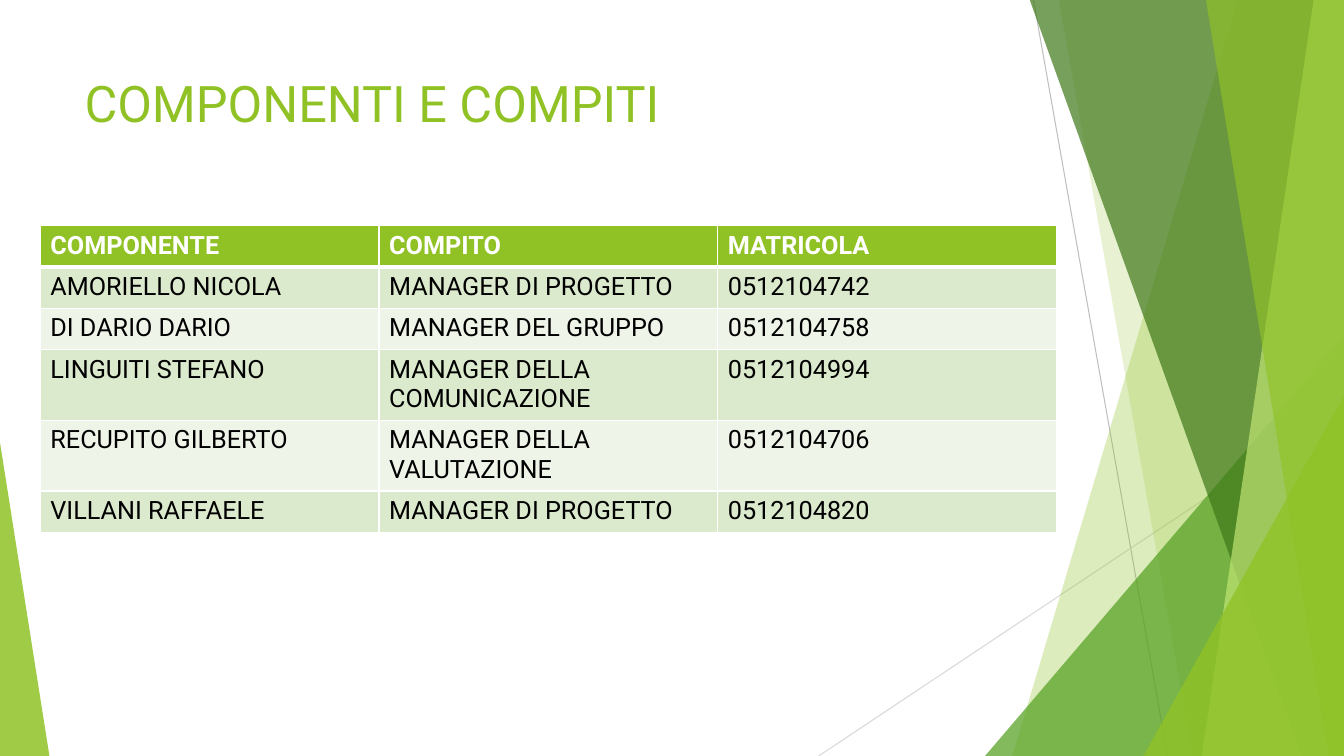
import dataclasses

import lxml.etree
import pptx
import pptx.dml.color
import pptx.enum.shapes
import pptx.enum.text
import pptx.oxml.ns
import pptx.util
from pptx.util import Inches

FONT = "Roboto"
WIDTH, HEIGHT, TOP = 13.33, 7.5, -0.01
COLOURS = {
    "lime": "90C226",
    "green": "54A021",
    "forest": "3F7819",
    "pale lime": "C0E474",
    "grey": "BFBFBF",
    "light grey": "D9D9D9",
    "white": "FFFFFF",
    "black": "000000",
    "dark band": "DBE9CD",
    "light band": "EEF4E8",
}


@dataclasses.dataclass(frozen=True)
class Ray:
    start: tuple[float, float]
    end: tuple[float, float]
    colour: str


@dataclasses.dataclass(frozen=True)
class Shard:
    """A four-sided facet that reaches the right edge of the slide."""
    top_left: float
    bottom_left: float
    colour: str
    opacity: int


@dataclasses.dataclass(frozen=True)
class Corner:
    """A triangle standing on the bottom edge, with its tip at one side."""
    left: float
    top: float
    width: float
    tip: float
    colour: str
    opacity: int


RAYS = [
    Ray((10.25, 0), (11.58, HEIGHT), "grey"),
    Ray((WIDTH, 4.03), (8.12, HEIGHT), "light grey"),
]
FACETS = [
    Shard(12.28, 10.04, "lime", 30),
    Shard(10.5, 11.83, "lime", 20),
    Corner(9.77, 3.33, 3.56, 1, "green", 72),
    Shard(10.21, 12.91, "forest", 70),
    Shard(13.03, 11.92, "pale lime", 70),
    Shard(11.96, 13.18, "lime", 65),
    Corner(11.34, 3.93, 1.99, 1, "lime", 80),
    Corner(0, 4.39, 0.49, 0, "lime", 85),
]
MEMBERS = [
    ("COMPONENTE", "COMPITO", "MATRICOLA"),
    ("AMORIELLO NICOLA", "MANAGER DI PROGETTO", "0512104742"),
    ("DI DARIO DARIO", "MANAGER DEL GRUPPO", "0512104758"),
    ("LINGUITI STEFANO", "MANAGER DELLA COMUNICAZIONE", "0512104994"),
    ("RECUPITO GILBERTO", "MANAGER DELLA VALUTAZIONE", "0512104706"),
    ("VILLANI RAFFAELE", "MANAGER DI PROGETTO", "0512104820"),
]


def rgb(colour: str) -> pptx.dml.color.RGBColor:
    return pptx.dml.color.RGBColor.from_string(COLOURS[colour])


def add_child(parent, tag: str, **attributes: str):
    return lxml.etree.SubElement(parent, pptx.oxml.ns.qn(tag), attributes)


def set_font(paragraph, size: int, colour: str, bold: bool = False) -> None:
    font = paragraph.font
    font.name = FONT
    font.size = pptx.util.Pt(size)
    font.bold = bold
    font.color.rgb = rgb(colour)


def draw_ray(slide, ray: Ray) -> None:
    connector = slide.shapes.add_connector(
        pptx.enum.shapes.MSO_CONNECTOR.STRAIGHT,
        *(Inches(length) for length in ray.start + ray.end),
    )
    connector.line.color.rgb = rgb(ray.colour)
    connector.line.width = pptx.util.Pt(0.75)
    add_child(connector._element.spPr, "a:effectLst")


def draw_facet(slide, facet: Shard | Corner) -> None:
    if isinstance(facet, Shard):
        outline = [(facet.top_left, TOP), (WIDTH, TOP),
                   (WIDTH, HEIGHT), (facet.bottom_left, HEIGHT)]
        points = [(Inches(x), Inches(y)) for x, y in outline]
        builder = slide.shapes.build_freeform(*points[0])
        builder.add_line_segments(points[1:], close=True)
        shape = builder.convert_to_shape()
    else:
        shape = slide.shapes.add_shape(
            pptx.enum.shapes.MSO_SHAPE.ISOSCELES_TRIANGLE,
            Inches(facet.left), Inches(facet.top),
            Inches(facet.width), Inches(HEIGHT - facet.top),
        )
        shape.adjustments[0] = facet.tip
    shape.shadow.inherit = False
    shape.line.fill.background()
    shape.fill.solid()
    shape.fill.fore_color.rgb = rgb(facet.colour)
    colour_element = shape._element.spPr.find(".//" + pptx.oxml.ns.qn("a:srgbClr"))
    add_child(colour_element, "a:alpha", val=str(facet.opacity * 1000))


def draw_title(slide) -> None:
    title = slide.shapes.add_textbox(Inches(0.74), Inches(0.67), Inches(9.4), Inches(1.44))
    title.text_frame.word_wrap = True
    title.text_frame.vertical_anchor = pptx.enum.text.MSO_ANCHOR.TOP
    title.text_frame.text = "COMPONENTI E COMPITI"
    set_font(title.text_frame.paragraphs[0], 36, "lime")


def set_borders(cell, bottom_width: float) -> None:
    """Put white borders before the fill, where the schema wants them."""
    properties = cell._tc.get_or_add_tcPr()
    widths = {"a:lnL": 1, "a:lnR": 1, "a:lnT": 1, "a:lnB": bottom_width}
    for position, (tag, width) in enumerate(widths.items()):
        border = add_child(properties, tag, w=str(pptx.util.Pt(width)))
        add_child(add_child(border, "a:solidFill"), "a:srgbClr", val=COLOURS["white"])
        properties.insert(position, border)


def draw_members(slide) -> None:
    row_height = 0.41
    table = slide.shapes.add_table(
        len(MEMBERS), len(MEMBERS[0]), Inches(0.4), Inches(2.24),
        Inches(10.08), Inches(row_height * len(MEMBERS)),
    ).table
    for row, member in enumerate(MEMBERS):
        header = row == 0
        band = "lime" if header else "dark band" if row % 2 else "light band"
        for column, text in enumerate(member):
            cell = table.cell(row, column)
            cell.text = text
            cell.fill.solid()
            cell.fill.fore_color.rgb = rgb(band)
            set_font(cell.text_frame.paragraphs[0], 18,
                     "white" if header else "black", bold=header)
            set_borders(cell, 3 if header else 1)


def main() -> None:
    presentation = pptx.Presentation()
    presentation.slide_width = Inches(WIDTH)
    presentation.slide_height = Inches(HEIGHT)
    slide = presentation.slides.add_slide(presentation.slide_layouts[6])
    for ray in RAYS:
        draw_ray(slide, ray)
    for facet in FACETS:
        draw_facet(slide, facet)
    draw_title(slide)
    draw_members(slide)
    presentation.save("out.pptx")


if __name__ == "__main__":
    main()
